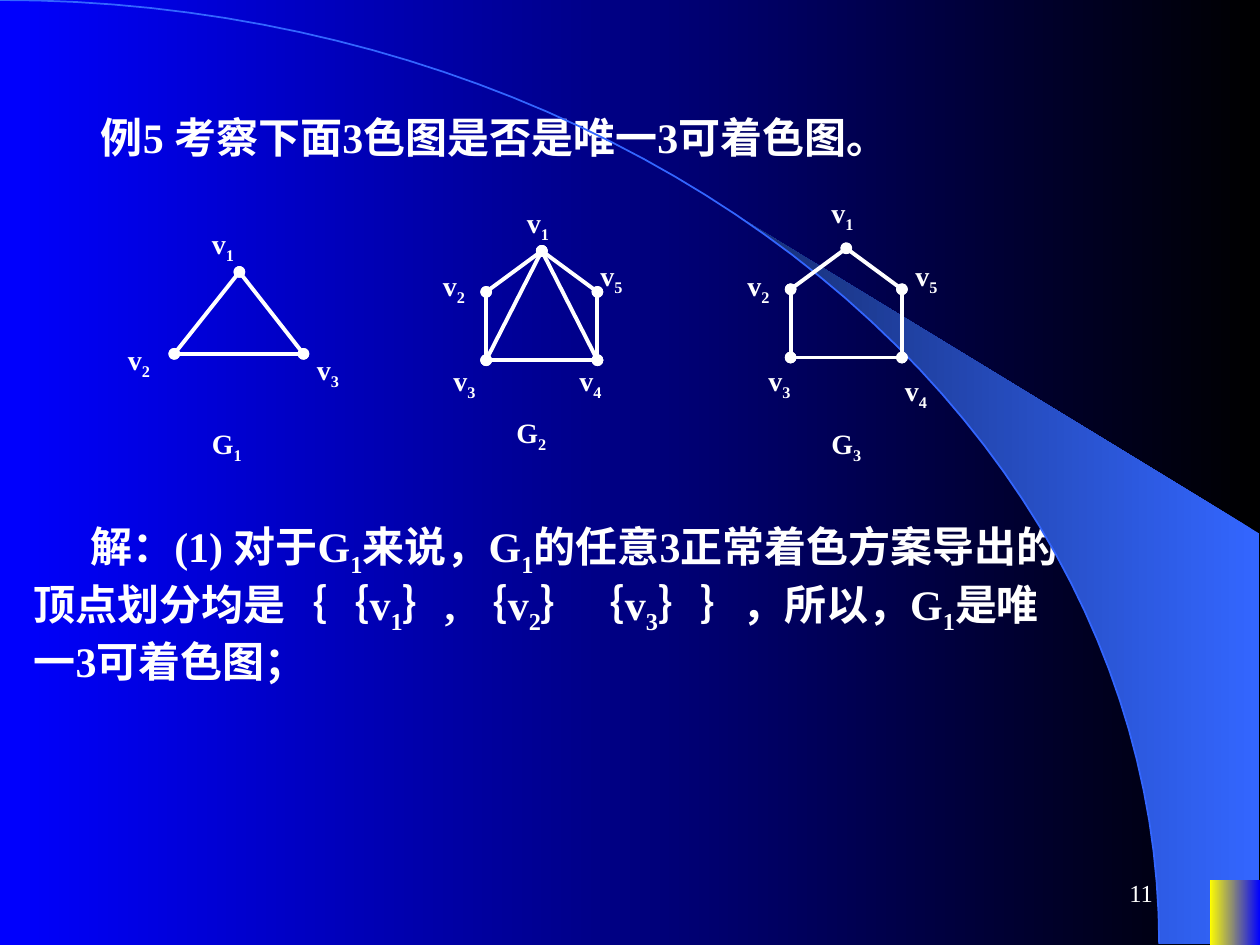
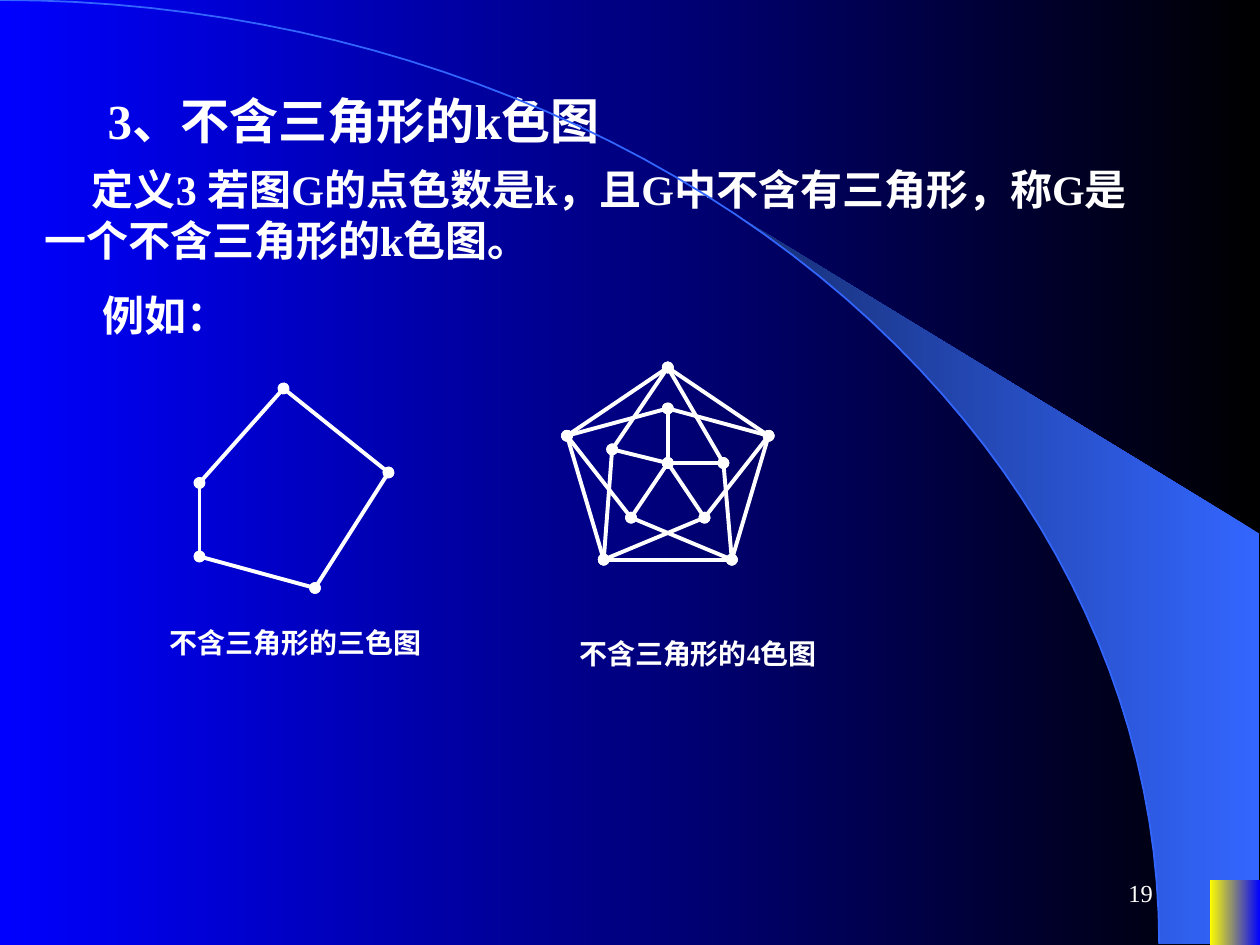
import math

from lxml import etree
from pptx import Presentation
from pptx import util as u
from pptx.dml.color import RGBColor
from pptx.enum import shapes, text
from pptx.oxml.ns import qn

COLORS = {
    "white": "FFFFFF",
    "black": "000000",
    "blue": "0000FF",
    "sky": "3366FF",
    "navy": "172F75",
    "yellow": "FFFF00",
}
FONT = "Times New Roman"
COLUMNS, ROWS = 120, 90
ARC_WIDTH, ARC_HEIGHT = 110.4, 89.9


def rgb(name):
    return RGBColor.from_string(COLORS[name])


def paint_gradient(fill, right, left):
    fill.gradient()
    fill.gradient_angle = 180
    for stop, name, position in zip(fill.gradient_stops, (right, left), (0, 1)):
        stop.color.rgb = rgb(name)
        stop.position = position


def write_text(shape, content, size=24, bold=True, indent=0.0,
               align=text.PP_ALIGN.LEFT, anchor=text.MSO_ANCHOR.TOP):
    frame = shape.text_frame
    frame.word_wrap = True
    frame.auto_size = text.MSO_AUTO_SIZE.NONE
    frame.vertical_anchor = anchor
    paragraph = frame.paragraphs[0]
    properties = paragraph._p.get_or_add_pPr()
    properties.set("marL", "0")
    properties.set("indent", str(u.Inches(indent)))
    etree.SubElement(properties, qn("a:buNone"))
    paragraph.alignment = align
    paragraph.space_before = u.Pt(0)
    first, *marked = content.split("_")
    pieces = [(first, False)]
    for part in marked:
        pieces += [(part[0], True), (part[1:], False)]
    for piece, subscript in pieces:
        if not piece:
            continue
        run = paragraph.add_run()
        run.text = piece
        run.font.name = FONT
        run.font.size = u.Pt(size)
        run.font.bold = bold
        run.font.color.rgb = rgb("white")
        if subscript:
            run._r.get_or_add_rPr().set("baseline", "-25000")


def arc_points(start, steps=48):
    angles = [start + (math.pi / 2 - start) * i / steps for i in range(steps + 1)]
    return [(ARC_WIDTH * math.sin(a), ARC_HEIGHT * (1 - math.cos(a))) for a in angles]


class Deck:
    def __init__(self):
        self.presentation = Presentation()
        self.presentation.slide_width = u.Inches(10)
        self.presentation.slide_height = u.Inches(7.5)
        self.column = self.presentation.slide_width / COLUMNS
        self.row = self.presentation.slide_height / ROWS
        paint_gradient(self.presentation.slide_master.background.fill, "black", "blue")
        self.slide = None

    def point(self, x, y):
        return round(x * self.column), round(y * self.row)

    def box(self, left, top, width, height):
        return (*self.point(left, top), *self.point(width, height))

    def add_slide(self, number):
        layout = self.presentation.slide_layouts[1]
        self.slide = self.presentation.slides.add_slide(layout)
        self.add_decoration()
        self.add_text(str(number), (86, 82, 25, 6), size=14, bold=False,
                      align=text.PP_ALIGN.RIGHT, anchor=text.MSO_ANCHOR.MIDDLE)

    def add_outline(self, points, close):
        start, *rest = [self.point(*p) for p in points]
        builder = self.slide.shapes.build_freeform(*start)
        builder.add_line_segments(rest, close=close)
        shape = builder.convert_to_shape()
        shape.shadow.inherit = False
        return shape

    def add_decoration(self):
        corners = [(119.9, 89.9), (119.9, 50.8)]
        beam = self.add_outline(arc_points(math.asin(0.64)) + corners, close=True)
        paint_gradient(beam.fill, "sky", "navy")
        beam.line.fill.background()

        arc = self.add_outline(arc_points(0), close=False)
        arc.fill.background()
        arc.line.color.rgb = rgb("sky")
        arc.line.width = u.Pt(1)

        corner = self.slide.shapes.add_shape(
            shapes.MSO_SHAPE.RECTANGLE, *self.box(115.2, 83.8, 4.8, 6.2))
        corner.shadow.inherit = False
        paint_gradient(corner.fill, "blue", "yellow")
        corner.line.fill.background()

    def fill_placeholder(self, index, content, box, **style):
        shape = self.slide.placeholders[index]
        shape.left, shape.top, shape.width, shape.height = self.box(*box)
        write_text(shape, content, **style)

    def add_title(self, content, box, **style):
        self.fill_placeholder(0, content, box, **style)

    def add_body(self, content, box, **style):
        self.fill_placeholder(1, content, box, **style)

    def add_text(self, content, box, **style):
        write_text(self.slide.shapes.add_textbox(*self.box(*box)), content, **style)

    def add_labels(self, labels):
        for content, corner in labels.items():
            self.add_text(content, (*corner, 7.2, 4.9), size=16)

    def add_edge(self, start, end):
        edge = self.slide.shapes.add_connector(
            shapes.MSO_CONNECTOR.STRAIGHT, *self.point(*start), *self.point(*end))
        edge.line.color.rgb = rgb("white")
        edge.line.width = u.Pt(2.25)
        line = edge.line._get_or_add_ln()
        for tag in ("a:headEnd", "a:tailEnd"):
            etree.SubElement(line, qn(tag), type="oval")
        etree.SubElement(edge._element.spPr, qn("a:effectLst"))

    def add_graph(self, vertices, edges):
        for start, end in edges:
            self.add_edge(vertices[start], vertices[end])


def cycle(count):
    return [(i, (i + 1) % count) for i in range(count)]


def build_unique_coloring(deck):
    deck.add_slide(11)
    deck.add_title("例5 考察下面3色图是否是唯一3可着色图。", (3, 10, 102, 6), indent=0.45)

    triangle = [(22.8, 25.9), (16.6, 33.7), (28.9, 33.7)]
    house = [(51.6, 23.9), (46.3, 27.8), (46.3, 34.3), (56.9, 34.3), (56.9, 27.8)]
    shifted_house = [(x + 29, y - 0.25) for x, y in house]
    deck.add_graph(triangle, cycle(3))
    deck.add_graph(house, cycle(5) + [(0, 2), (0, 3)])
    deck.add_graph(shifted_house, cycle(5))

    deck.add_labels({"v_1": (19, 21), "v_2": (11, 32), "v_3": (29, 33), "G_1": (19, 40)})
    deck.add_labels({"v_1": (49, 19), "v_2": (41, 25), "v_3": (42, 34),
                     "v_4": (54, 34), "v_5": (56, 24), "G_2": (48, 39)})
    deck.add_labels({"v_1": (78, 18), "v_2": (70, 25), "v_3": (72, 34),
                     "v_4": (85, 35), "v_5": (86, 24), "G_3": (78, 40)})

    deck.add_body("解：(1) 对于G_1来说，G_1的任意3正常着色方案导出的顶点划分均是"
                  "｛｛v_1｝, ｛v_2｝｛v_3｝｝，所以，G_1是唯一3可着色图；",
                  (2, 49, 102, 17.6), indent=0.45)


def build_triangle_free(deck):
    deck.add_slide(19)
    deck.add_title("3、不含三角形的k色图", (4, 8, 102, 6.8), size=28, indent=0.42)
    deck.add_body("定义3 若图G的点色数是k，且G中不含有三角形，称G是一个不含三角形的k色图。",
                  (3, 15, 106, 10.8), indent=0.38)
    deck.add_text("例如：", (4, 27, 106, 6), indent=0.38)

    pentagon = [(27, 37), (37, 45), (30, 56), (19, 53), (19, 46)]
    deck.add_graph(pentagon, cycle(5))
    deck.add_text("不含三角形的三色图", (15, 59, 27, 4.4), size=16)

    outer = [(63.6, 35), (73.2, 41.5), (69.7, 53.3), (57.5, 53.3), (54, 41.5)]
    inner = [(63.6, 38.9), (68.9, 44.1), (67.1, 49.3), (60.1, 49.3), (58.3, 42.8)]
    center = (63.6, 44.1)
    crossings = [(5 + i, (i + step) % 5) for i in range(5) for step in (1, -1)]
    spokes = [(10, 5 + i) for i in range(5)]
    deck.add_graph(outer + inner + [center], cycle(5) + crossings + spokes)
    deck.add_text("不含三角形的4色图", (54, 60, 30, 4.4), size=16)


def main():
    deck = Deck()
    build_unique_coloring(deck)
    build_triangle_free(deck)
    deck.presentation.save("out.pptx")


if __name__ == "__main__":
    main()
